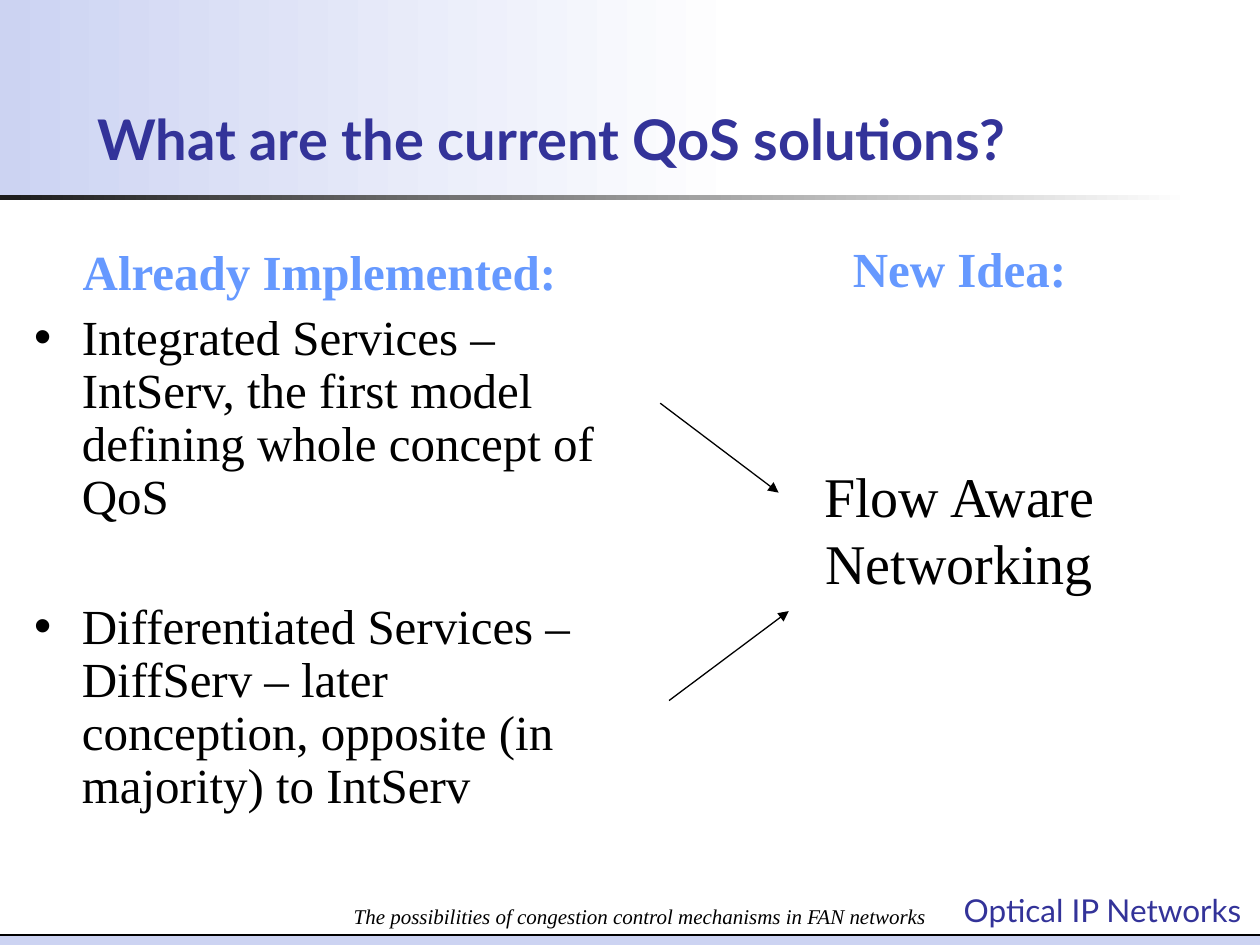
"""Build the slide on current QoS solutions."""
from lxml import etree
from pptx import Presentation
from pptx.dml.color import RGBColor
from pptx.enum import shapes, text
from pptx.oxml import ns
from pptx.util import Inches, Pt

NAVY = RGBColor(0x33, 0x33, 0x99)
SKY = RGBColor(0x66, 0x99, 0xFF)
PALE = RGBColor(0xCC, 0xD3, 0xF2)
WHITE = RGBColor(0xFF, 0xFF, 0xFF)
COAL = RGBColor(0x1C, 0x1C, 0x1C)
BLACK = RGBColor(0, 0, 0)
SERIF = "Times New Roman"
SANS = "Lato"
LEFT = text.PP_ALIGN.LEFT
MID = text.PP_ALIGN.CENTER


def place(shape, x, y, w, h):
    """Move and size a shape, in inches."""
    shape.left, shape.top = Inches(x), Inches(y)
    shape.width, shape.height = Inches(w), Inches(h)


def frame(shape, anchor=text.MSO_ANCHOR.TOP, wrap=True):
    """Prepare and return the text frame of a shape."""
    body = shape.text_frame
    body.auto_size = text.MSO_AUTO_SIZE.NONE
    body.word_wrap = wrap
    body.vertical_anchor = anchor
    return body


def write(body, words, size=28, font=SERIF, color=BLACK, bold=False,
          italic=False, align=LEFT, before=0, line=None, margin=0, bullet=False):
    """Add one formatted paragraph to a text frame."""
    para = body.paragraphs[0] if not body.text else body.add_paragraph()
    props = para._p.get_or_add_pPr()
    props.set("marL", str(Inches(margin)))
    props.set("indent", str(-Inches(margin) if bullet else 0))
    mark = etree.SubElement(props, ns.qn("a:buChar" if bullet else "a:buNone"))
    if bullet:
        mark.set("char", "•")
    para.alignment = align
    para.space_before = Pt(before)
    if line:
        para.line_spacing = line
    run = para.add_run()
    run.text = words
    look = run.font
    look.name, look.size = font, Pt(size)
    look.bold, look.italic = bold, italic
    look.color.rgb = color


def band(slide, x, y, w, h, color, fade=False):
    """Add a plain or fading bar behind the title."""
    bar = slide.shapes.add_shape(shapes.MSO_SHAPE.RECTANGLE, 0, 0, 0, 0)
    place(bar, x, y, w, h)
    bar.shadow.inherit = False
    bar.line.fill.background()
    if fade:
        bar.fill.gradient()
        bar.fill.gradient_angle = 180
        for stop, tone, spot in zip(bar.fill.gradient_stops, (WHITE, color), (0, 1)):
            stop.color.rgb = tone
            stop.position = spot
    else:
        bar.fill.solid()
        bar.fill.fore_color.rgb = color
    slide.shapes.title.element.addprevious(bar.element)


def rule(slide, x1, y1, x2, y2, arrow=False):
    """Add a thin black line, with an arrowhead at its end if asked."""
    line = slide.shapes.add_connector(
        shapes.MSO_CONNECTOR.STRAIGHT, *map(Inches, (x1, y1, x2, y2)))
    line.line.color.rgb = BLACK
    line.line.width = Pt(0.75)
    if arrow:
        etree.SubElement(line.line._get_or_add_ln(), ns.qn("a:tailEnd"), type="triangle")
    etree.SubElement(line.element.spPr, ns.qn("a:effectLst"))


def label(slide, x, y, w, h, words, anchor=text.MSO_ANCHOR.TOP, wrap=True, **style):
    """Add a text box with one paragraph."""
    box = slide.shapes.add_textbox(*map(Inches, (x, y, w, h)))
    write(frame(box, anchor, wrap), words, **style)


def main():
    """Build and save the slide."""
    deck = Presentation()
    deck.slide_width, deck.slide_height = Inches(10), Inches(7.5)
    slide = deck.slides.add_slide(deck.slide_layouts[3])
    title, old, new = slide.placeholders

    band(slide, 0, 0, 5.92, 1.58, PALE, fade=True)
    band(slide, 0, 1.55, 9.45, 0.04, COAL, fade=True)
    band(slide, 0, 7.42, 10, 0.08, PALE)
    rule(slide, 0, 7.42, 10, 7.42)

    place(title, 0.67, 0.11, 7.75, 1.3)
    write(frame(title, text.MSO_ANCHOR.BOTTOM), "What are the current QoS solutions?",
          size=32, font=SANS, color=NAVY, bold=True)

    place(old, 0.17, 1.92, 4.73, 4.79)
    body = frame(old)
    write(body, "Already Implemented:", color=SKY, bold=True, align=MID, line=0.9)
    for words, gap in (
        ("Integrated Services – IntServ, the first model defining whole concept of QoS", 7),
        ("Differentiated Services – DiffServ – later conception, opposite "
         "(in majority) to IntServ", 44),
    ):
        write(body, words, before=gap, line=0.9, margin=0.38, bullet=True)

    place(new, 5.06, 1.78, 4.73, 4.93)
    body = frame(new)
    write(body, "New Idea:", color=SKY, bold=True, align=MID, line=Pt(38), margin=0.38)
    write(body, "Flow Aware Networking", size=32, align=MID, before=94, margin=0.38)

    rule(slide, 5.31, 5.56, 6.26, 4.85, arrow=True)
    rule(slide, 5.24, 3.2, 6.18, 3.91, arrow=True)

    label(slide, 2.48, 6.92, 5.2, 0.5,
          "The possibilities of congestion control mechanisms in FAN networks",
          anchor=text.MSO_ANCHOR.BOTTOM, size=12, italic=True, align=MID)
    label(slide, 7.55, 7.02, 2.52, 0.4, "Optical IP Networks", wrap=False,
          size=18, font=SANS, color=NAVY)
    deck.save("out.pptx")


if __name__ == "__main__":
    main()
